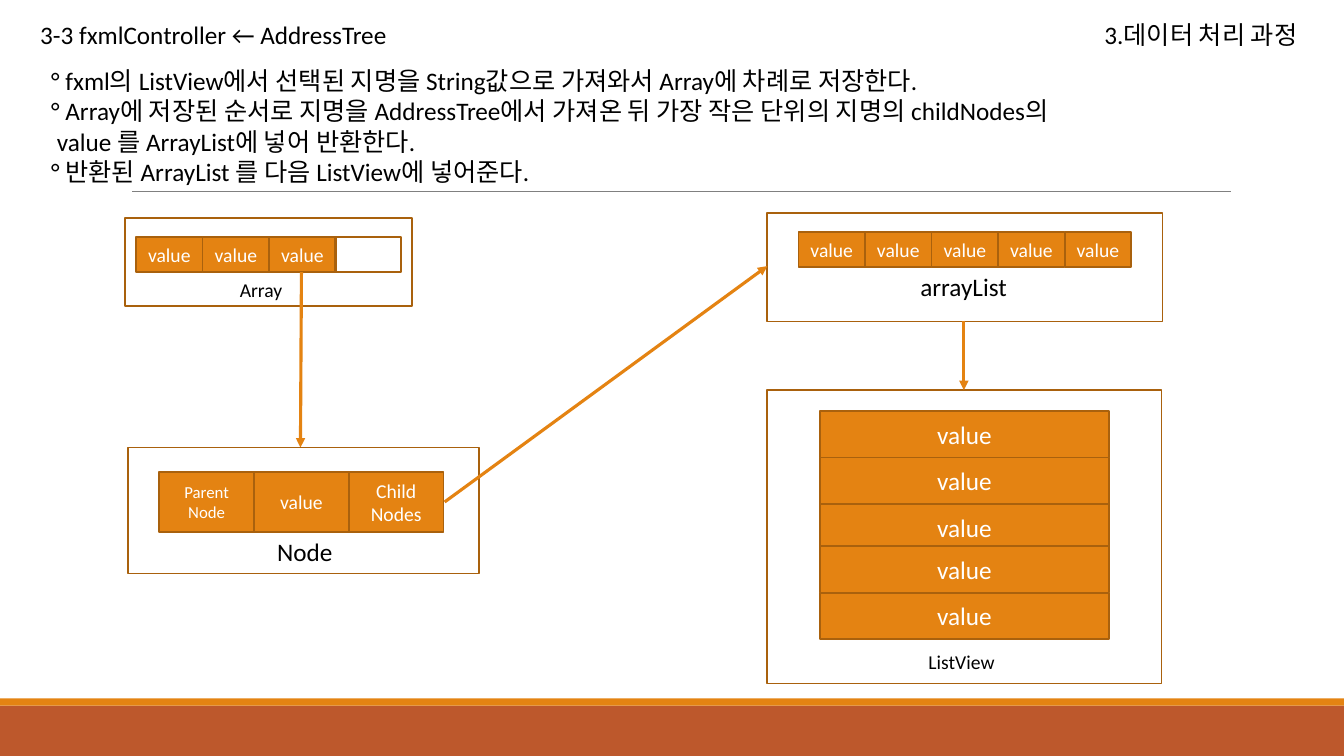
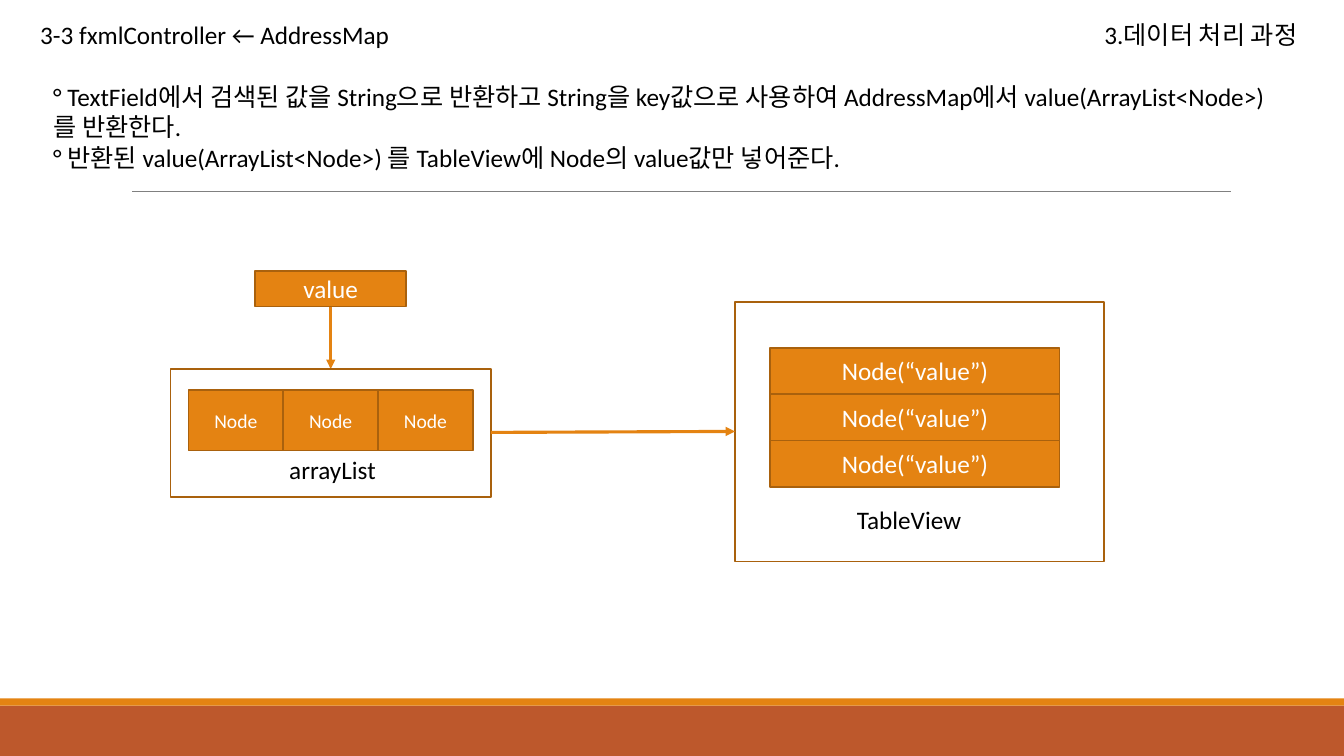
from pptx import Presentation
from pptx.dml.color import RGBColor as Rgb
from pptx.enum.shapes import MSO_CONNECTOR as Link, MSO_SHAPE as Kind
from pptx.enum.text import MSO_ANCHOR as Anchor, MSO_AUTO_SIZE as Fit, PP_ALIGN as Align
from pptx.oxml.ns import qn
from pptx.util import Inches, Pt
from lxml.etree import SubElement as sub

FONT = "Calibri"
ORANGE, RUST, BROWN = "E48312", "BD582C", "A9610D"
GREY, BLACK, WHITE = "808080", "000000", "FFFFFF"
TOPIC = " 3.데이터 처리 과정"


def paint(part, color):
    """Give a fill or a font one solid colour."""
    if hasattr(part, "solid"):
        part.solid()
        part.fore_color.rgb = Rgb.from_string(color)
    else:
        part.color.rgb = Rgb.from_string(color)


def write(frame, lines, size, color, align=None):
    """Write each line as a paragraph holding one run."""
    for i, line in enumerate(lines):
        para = frame.add_paragraph() if i else frame.paragraphs[0]
        para.alignment = align
        run = para.add_run()
        run.text = line
        run.font.name = FONT
        run.font.size = Pt(size)
        paint(run.font, color)


def label(shapes, x, y, w, h, *lines, size=18):
    """Add a wrapping text box in black."""
    frame = shapes.add_textbox(Inches(x), Inches(y), Inches(w), Inches(h)).text_frame
    frame.word_wrap = True
    frame.auto_size = Fit.SHAPE_TO_FIT_TEXT
    write(frame, lines, size, BLACK)


def box(shapes, x, y, w, h, fill=None, edge=BROWN):
    """Add a flat rectangle, hollow unless a fill is given."""
    rect = shapes.add_shape(Kind.RECTANGLE, Inches(x), Inches(y), Inches(w), Inches(h))
    rect.shadow.inherit = False
    if fill:
        paint(rect.fill, fill)
    else:
        rect.fill.background()
    if edge:
        paint(rect.line.fill, edge)
        rect.line.width = Pt(1.25)
    else:
        rect.line.fill.background()
    return rect


def cell(shapes, x, y, w, h, text, size=14):
    """Add an orange box with centred white text."""
    frame = box(shapes, x, y, w, h, ORANGE).text_frame
    frame.word_wrap = True
    frame.vertical_anchor = Anchor.MIDDLE
    write(frame, text.split("\n"), size, WHITE, Align.CENTER)


def row(shapes, x, y, w, h, texts):
    """Set cells side by side."""
    for i, text in enumerate(texts):
        cell(shapes, x + i * w, y, w, h, text)


def stack(shapes, x, y, texts):
    """Set list entries one below the other."""
    for i, text in enumerate(texts):
        cell(shapes, x, y + i * 0.46, 2.87, 0.46, text, 18)


def line(shapes, start, end, color=ORANGE, width=2.25, tip=True):
    """Draw a straight line, with an arrowhead at its end if wanted."""
    ends = [Inches(v) for v in (*start, *end)]
    link = shapes.add_connector(Link.STRAIGHT, *ends)
    paint(link.line.fill, color)
    link.line.width = Pt(width)
    props = link.element.spPr
    if tip:
        sub(props.find(qn("a:ln")), qn("a:tailEnd"), type="triangle")
    sub(props, qn("a:effectLst"))
    return link


def dress(slide):
    """Move the bands and the rule to the layout that all slides share."""
    shapes = slide.shapes
    parts = [
        box(shapes, 0, 7, 13.33, 0.5, RUST, None),
        box(shapes, 0, 6.93, 13.33, 0.07, ORANGE, None),
        line(shapes, (1.31, 1.9), (12.21, 1.9), GREY, 0.5, False),
    ]
    for part in parts:
        slide.slide_layout.shapes.element.append(part.element)


def start(deck, title):
    """Add a slide with its topic and title and return its shapes."""
    slide = deck.slides.add_slide(deck.slide_layouts[6])
    if len(deck.slides) == 1:
        dress(slide)
    label(slide.shapes, 10.8, 0.14, 2.53, 0.4, TOPIC)
    label(slide.shapes, 0.3, 0.14, 5.11, 0.4, title)
    return slide.shapes


def tree(deck):
    """Build the slide on the address tree."""
    shapes = start(deck, "3-3 fxmlController ← AddressTree")
    label(shapes, 0.41, 0.6, 12.33, 1.31,
          "° fxml의 ListView에서 선택된 지명을 String값으로 가져와서 Array에 차례로 저장한다.",
          "° Array에 저장된 순서로 지명을 AddressTree에서 가져온 뒤 가장 작은 단위의 지명의 childNodes의",
          " value 를 ArrayList에 넣어 반환한다.",
          "° 반환된 ArrayList 를 다음 ListView에 넣어준다.")

    row(shapes, 1.35, 2.35, 0.66, 0.35, ["value"] * 3)
    box(shapes, 3.32, 2.35, 0.66, 0.35)
    label(shapes, 2.28, 2.71, 0.7, 0.34, "Array", size=14)
    box(shapes, 1.24, 2.16, 2.85, 0.88)
    line(shapes, (2.99, 2.7), (2.98, 4.44))

    node = shapes.add_group_shape().shapes
    cell(node, 1.58, 4.68, 0.94, 0.6, "Parent\nNode", 12)
    row(node, 2.52, 4.68, 0.94, 0.6, ["value", "Child\nNodes"])
    label(shapes, 2.65, 5.27, 0.94, 0.4, "Node")
    box(shapes, 1.27, 4.44, 3.48, 1.25)

    found = shapes.add_group_shape().shapes
    row(found, 7.92, 2.3, 0.66, 0.35, ["value"] * 5)
    box(found, 7.61, 2.11, 3.92, 1.08)
    label(found, 9.03, 2.64, 1.07, 0.4, "arrayList")
    line(shapes, (4.41, 4.98), (7.61, 2.64))

    stack(shapes, 8.13, 4.08, ["value"] * 3)
    stack(shapes, 8.13, 5.42, ["value"] * 2)
    box(shapes, 7.61, 3.87, 3.91, 2.91)
    label(shapes, 9.11, 6.4, 0.91, 0.34, "ListView", size=14)
    line(shapes, (9.56, 3.18), (9.56, 3.87))


def table(deck):
    """Build the slide on the address map."""
    shapes = start(deck, "3-3 fxmlController ← AddressMap")
    label(shapes, 0.43, 0.76, 12.33, 1.01,
          "° TextField에서 검색된 값을 String으로 반환하고 String을 key값으로 사용하여 "
          "AddressMap에서 value(ArrayList<Node>)를 반환한다.",
          "° 반환된 value(ArrayList<Node>) 를 TableView에 Node의 value값만 넣어준다.")

    cell(shapes, 2.53, 2.69, 1.5, 0.35, "value", 18)
    line(shapes, (3.28, 3.05), (3.28, 3.66))

    nodes = shapes.add_group_shape().shapes
    row(nodes, 1.87, 3.87, 0.94, 0.6, ["Node"] * 3)
    box(nodes, 1.69, 3.66, 3.18, 1.27)
    label(nodes, 2.77, 4.46, 1.08, 0.4, "arrayList")

    stack(shapes, 7.64, 3.45, ["Node(“value”)"] * 3)
    box(shapes, 7.29, 3, 3.66, 2.57)
    label(shapes, 8.4, 4.95, 1.64, 0.4, "TableView")
    line(shapes, (4.87, 4.29), (7.29, 4.28))


def main():
    """Build both slides and save them."""
    deck = Presentation()
    deck.slide_width = Inches(13.33)
    deck.slide_height = Inches(7.5)
    tree(deck)
    table(deck)
    deck.save("out.pptx")


if __name__ == "__main__":
    main()
